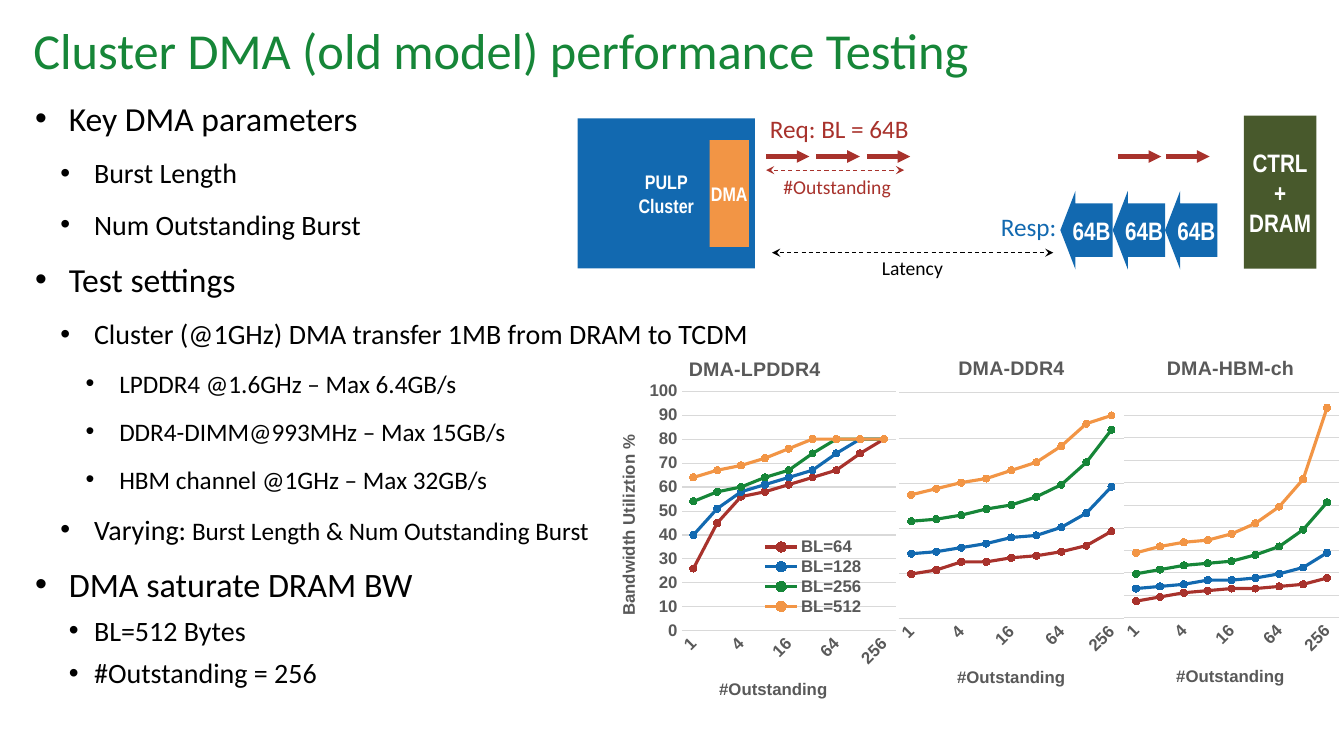
from dataclasses import dataclass

from lxml import etree
from pptx import Presentation
from pptx.chart.data import CategoryChartData
from pptx.dml.color import RGBColor
from pptx.enum.chart import XL_CHART_TYPE, XL_LEGEND_POSITION, XL_MARKER_STYLE, XL_TICK_MARK
from pptx.enum.dml import MSO_LINE
from pptx.enum.shapes import MSO_CONNECTOR, MSO_SHAPE
from pptx.enum.text import MSO_ANCHOR, PP_ALIGN
from pptx.oxml.ns import qn
from pptx.util import Pt

LINE_CHART = XL_CHART_TYPE.LINE_MARKERS
CIRCLE = XL_MARKER_STYLE.CIRCLE
NO_TICK = XL_TICK_MARK.NONE
LEGEND_BOTTOM = XL_LEGEND_POSITION.BOTTOM
DASH = MSO_LINE.DASH
STRAIGHT = MSO_CONNECTOR.STRAIGHT
RECTANGLE = MSO_SHAPE.RECTANGLE
LEFT_ARROW = MSO_SHAPE.LEFT_ARROW
MIDDLE, TOP = MSO_ANCHOR.MIDDLE, MSO_ANCHOR.TOP
LEFT, CENTER = PP_ALIGN.LEFT, PP_ALIGN.CENTER


@dataclass(frozen=True)
class Theme:
    black = RGBColor.from_string("000000")
    white = RGBColor.from_string("FFFFFF")
    green = RGBColor.from_string("168638")
    blue = RGBColor.from_string("1269B0")
    red = RGBColor.from_string("A8322C")
    orange = RGBColor.from_string("F29545")
    olive = RGBColor.from_string("48592C")
    gray = RGBColor.from_string("595959")
    grid = RGBColor.from_string("D9D9D9")
    text_font = "Calibri"
    block_font = "Arial Narrow"
    chart_font = "Arial"
    title = 36
    conclusion = 24.4
    heading = 24
    item = 20
    detail = 18
    label = 14
    axis = 12


theme = Theme()


def write_text(shape, text, size, color, font=theme.text_font, bold=False,
               align=LEFT, anchor=TOP, inset=(0, 0), wrap=True):
    frame = shape.text_frame
    frame.text = text
    frame.word_wrap = wrap
    frame.vertical_anchor = anchor
    frame.margin_left = frame.margin_right = Pt(inset[0])
    frame.margin_top = frame.margin_bottom = Pt(inset[1])
    for paragraph in frame.paragraphs:
        paragraph.alignment = align
        for run in paragraph.runs:
            run.font.name, run.font.size, run.font.bold = font, Pt(size), bold
            run.font.color.rgb = color


def place(element, index, chart_box, box):
    for old_layout in element.findall(qn("c:layout")):
        element.remove(old_layout)
    layout = etree.Element(qn("c:layout"))
    element.insert(index, layout)
    manual = etree.SubElement(layout, qn("c:manualLayout"))
    left, top, width, height = chart_box
    settings = [("xMode", "edge"), ("yMode", "edge"),
                ("x", (box[0] - left) / width), ("y", (box[1] - top) / height)]
    if index == 0:
        settings.insert(0, ("layoutTarget", "inner"))
    if len(box) == 4:
        settings += [("w", box[2] / width), ("h", box[3] / height)]
    for name, value in settings:
        etree.SubElement(manual, qn("c:" + name)).set("val", str(value))


presentation = Presentation()
presentation.slide_width, presentation.slide_height = Pt(960), Pt(540)
slide = presentation.slides.add_slide(presentation.slide_layouts[6])
shapes = slide.shapes

title = shapes.add_textbox(Pt(23.8), Pt(13.7), Pt(916.6), Pt(49))
write_text(title, "Cluster DMA (old model) performance Testing", theme.title, theme.green, anchor=MIDDLE)
title.text_frame.paragraphs[0].line_spacing = 0.9

outline = [
    (0, 24, 0, [("Key DMA parameters", theme.heading)]),
    (1, 24, 12.7, [("Burst Length", theme.item)]),
    (1, 24, 12.7, [("Num Outstanding Burst", theme.item)]),
    (0, 24, 12.7, [("Test settings", theme.heading)]),
    (1, 24, 12.7, [("Cluster (@1GHz) DMA transfer 1MB from DRAM to TCDM", theme.item)]),
    (2, 24, 12.7, [("LPDDR4 @1.6GHz – Max 6.4GB/s", theme.detail)]),
    (2, 24, 12.7, [("DDR4-DIMM@993MHz – Max 15GB/s", theme.detail)]),
    (2, 24, 12.7, [("HBM channel @1GHz – Max 32GB/s", theme.detail)]),
    (1, 24, 12.7, [("Varying:", theme.item), (" Burst Length & Num Outstanding Burst", theme.detail)]),
    (0, 24, 12.7, [("DMA saturate DRAM BW", theme.conclusion)]),
    (1, 18, 6.3, [("BL=512 Bytes", theme.item)]),
    (1, 18, 6.3, [("#Outstanding = 256", theme.item)]),
]
body = shapes.add_textbox(Pt(25.2), Pt(66.2), Pt(523.4), Pt(426.2))
body_lines = "\n".join(parts[0][0] for level, hanging, space, parts in outline)
write_text(body, body_lines, theme.item, theme.black, inset=(0, 3.6))
for paragraph, (level, hanging, space, parts) in zip(body.text_frame.paragraphs, outline):
    properties = paragraph._p.get_or_add_pPr()
    properties.set("marL", str(Pt(24 + 18 * level)))
    properties.set("indent", str(-Pt(hanging)))
    etree.SubElement(properties, qn("a:buFont")).set("typeface", "Arial")
    etree.SubElement(properties, qn("a:buChar")).set("char", "•")
    paragraph.level = level
    paragraph.space_before = Pt(space)
    for text, size in parts[1:]:
        paragraph.add_run().text = text
    for run, (text, size) in zip(paragraph.runs, parts):
        run.font.name, run.font.size = theme.text_font, Pt(size)
        run.font.color.rgb = theme.black

blocks = [
    (RECTANGLE, "PULP\nCluster", (412.6, 84.5, 126.7, 107.3), theme.blue, theme.label),
    (RECTANGLE, "DMA", (506.9, 100.1, 28.1, 76.3), theme.orange, theme.label),
    (RECTANGLE, "CTRL\n+\nDRAM", (888.5, 82.6, 51.8, 109.4), theme.olive, theme.detail),
]
blocks += [(LEFT_ARROW, "64B", (757.4 + 37.4 * i, 136.3, 37.4, 56.2), theme.blue, theme.detail)
           for i in range(3)]
for kind, text, box, color, size in blocks:
    block = shapes.add_shape(kind, *map(Pt, box))
    block.shadow.inherit = False
    block.fill.solid()
    block.fill.fore_color.rgb = color
    block.line.fill.background()
    if kind == LEFT_ARROW:
        block.adjustments[0], block.adjustments[1] = 0.68, 0.29
    write_text(block, text, size, theme.white, theme.block_font, True, CENTER, MIDDLE, wrap=False)

labels = [
    ("Req: BL = 64B", (542.9, 77.4, 126.7, 28.8), theme.detail, theme.red),
    ("Resp:", (707.8, 147.2, 57.6, 28.8), theme.detail, theme.blue),
    ("Latency", (622.8, 179.3, 92.2, 24.5), theme.label, theme.black),
    ("#Outstanding", (552.4, 121.3, 92.2, 24.5), theme.label, theme.red),
]
for text, box, size, color in labels:
    write_text(shapes.add_textbox(*map(Pt, box)), text, size, color, inset=(7.2, 3.6))

arrows = [(x, x + 31, 111.8, theme.red, False) for x in (547.2, 583.2, 619.2, 798.5, 833)]
arrows += [(551.5, 752.4, 180.5, theme.black, True), (547.2, 645.8, 121.5, theme.red, True)]
for start, end, y, color, is_span in arrows:
    arrow = shapes.add_connector(STRAIGHT, Pt(start), Pt(y), Pt(end), Pt(y))
    arrow.line.color.rgb = color
    arrow.line.width = Pt(0.75 if is_span else 3)
    properties = arrow._element.spPr
    outline_element = properties.find(qn("a:ln"))
    if is_span:
        arrow.line.dash_style = DASH
        etree.SubElement(outline_element, qn("a:headEnd")).set("type", "stealth")
    etree.SubElement(outline_element, qn("a:tailEnd")).set("type", "stealth" if is_span else "triangle")
    etree.SubElement(properties, qn("a:effectLst"))

burst_colors = {64: theme.red, 128: theme.blue, 256: theme.green, 512: theme.orange}
charts = [
    ("DMA-HBM-ch", (798.5, 241.2, 162, 263.5), (803, 280.5, 153.5, 161), (831, 251), (838, 473.5), 107.2, 10.72,
     [(8, 10, 12, 13, 14, 14, 15, 16, 19), (14, 15, 16, 18, 18, 19, 21, 24, 31),
      (21, 23, 25, 26, 27, 30, 34, 42, 55), (31, 34, 36, 37, 40, 45, 53, 66, 100)]),
    ("DMA-DDR4", (638.6, 241.9, 168.5, 263.5), (642, 280.7, 161, 161.4), (682, 251.5), (681.5, 474), 111.1, 22.22,
     [(22, 24, 28, 28, 30, 31, 33, 36, 43), (32, 33, 35, 37, 40, 41, 45, 52, 65),
      (48, 49, 51, 54, 56, 60, 66, 77, 93), (61, 64, 67, 69, 73, 77, 85, 96, 100)]),
    ("DMA-LPDDR4", (427, 241.9, 223.9, 305.3), (486.8, 279.4, 153.2, 171.3), (489.5, 252), (511.5, 483), 100, 10,
     [(26, 45, 56, 58, 61, 64, 67, 74, 80), (40, 51, 58, 61, 64, 67, 74, 80, 80),
      (54, 58, 60, 64, 67, 74, 80, 80, 80), (64, 67, 69, 72, 76, 80, 80, 80, 80)]),
]
for name, box, plot_box, title_spot, axis_spot, maximum, step, rows in charts:
    data = CategoryChartData()
    data.categories = [str(2 ** power) for power in range(9)]
    for burst, row in zip(burst_colors, rows):
        data.add_series(f"BL={burst}", row)
    chart = shapes.add_chart(LINE_CHART, *map(Pt, box), data).chart
    chart.font.name, chart.font.size, chart.font.bold = theme.chart_font, Pt(theme.axis), True
    chart.font.color.rgb = theme.gray
    chart.plots[0].vary_by_categories = False
    for series, color in zip(chart.plots[0].series, burst_colors.values()):
        series.smooth = False
        series.format.line.color.rgb = color
        series.format.line.width = Pt(2.25)
        series.marker.style, series.marker.size = CIRCLE, 5
        series.marker.format.fill.solid()
        series.marker.format.fill.fore_color.rgb = color
        series.marker.format.line.color.rgb = color

    category_axis, value_axis = chart.category_axis, chart.value_axis
    category_axis.major_tick_mark = value_axis.major_tick_mark = NO_TICK
    category_axis.format.line.color.rgb = theme.grid
    category_axis.tick_labels.font.size = Pt(theme.axis)
    category_element = category_axis._element
    category_element.find(qn("c:txPr")).find(qn("a:bodyPr")).set("rot", "-2700000")
    skip = etree.Element(qn("c:tickLblSkip"))
    skip.set("val", "2")
    category_element.find(qn("c:noMultiLvlLbl")).addprevious(skip)
    value_axis.minimum_scale, value_axis.maximum_scale, value_axis.major_unit = 0, maximum, step
    value_axis.major_gridlines.format.line.color.rgb = theme.grid
    value_axis.format.line.fill.background()

    chart_titles = [(chart.chart_title, name, theme.label, title_spot),
                    (category_axis.axis_title, "#Outstanding", theme.axis, axis_spot)]
    is_leftmost = name == "DMA-LPDDR4"
    chart.has_legend = is_leftmost
    value_axis.visible = is_leftmost
    if is_leftmost:
        chart_titles.append((value_axis.axis_title, "Bandwidth Utiliztion %", theme.axis, (439.5, 308.5)))
        chart.legend.position = LEGEND_BOTTOM
        chart.legend.include_in_layout = False
        chart.legend.font.size = Pt(theme.axis)
        place(chart.legend._element, 1, box, (543.5, 383, 75, 58))
    for heading, text, size, spot in chart_titles:
        heading.text_frame.text = text
        font = heading.text_frame.paragraphs[0].runs[0].font
        font.name, font.size, font.bold = theme.chart_font, Pt(size), True
        font.color.rgb = theme.gray
        if text.startswith("Bandwidth"):
            heading.text_frame._txBody.find(qn("a:bodyPr")).set("rot", "-5400000")
        place(heading._element, 1, box, spot)
    place(chart._chartSpace.chart.plotArea, 0, box, plot_box)

presentation.save("out.pptx")
